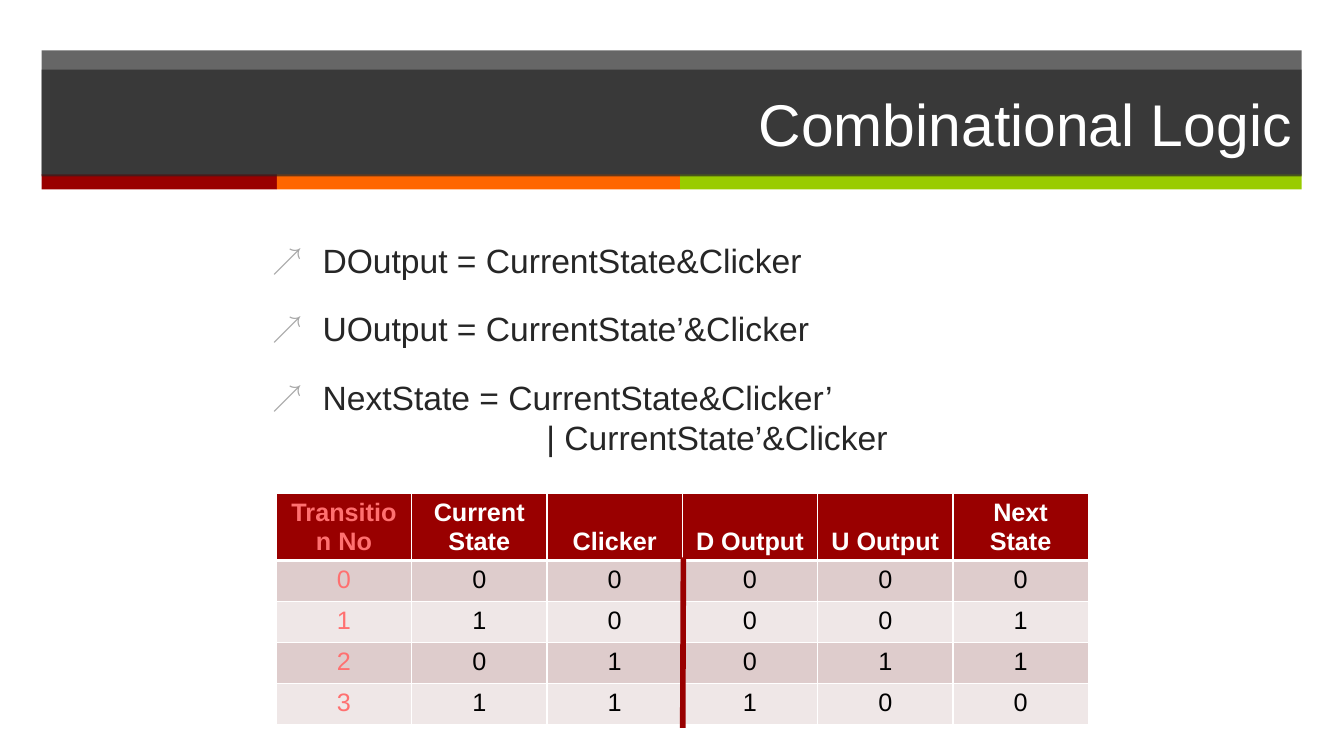
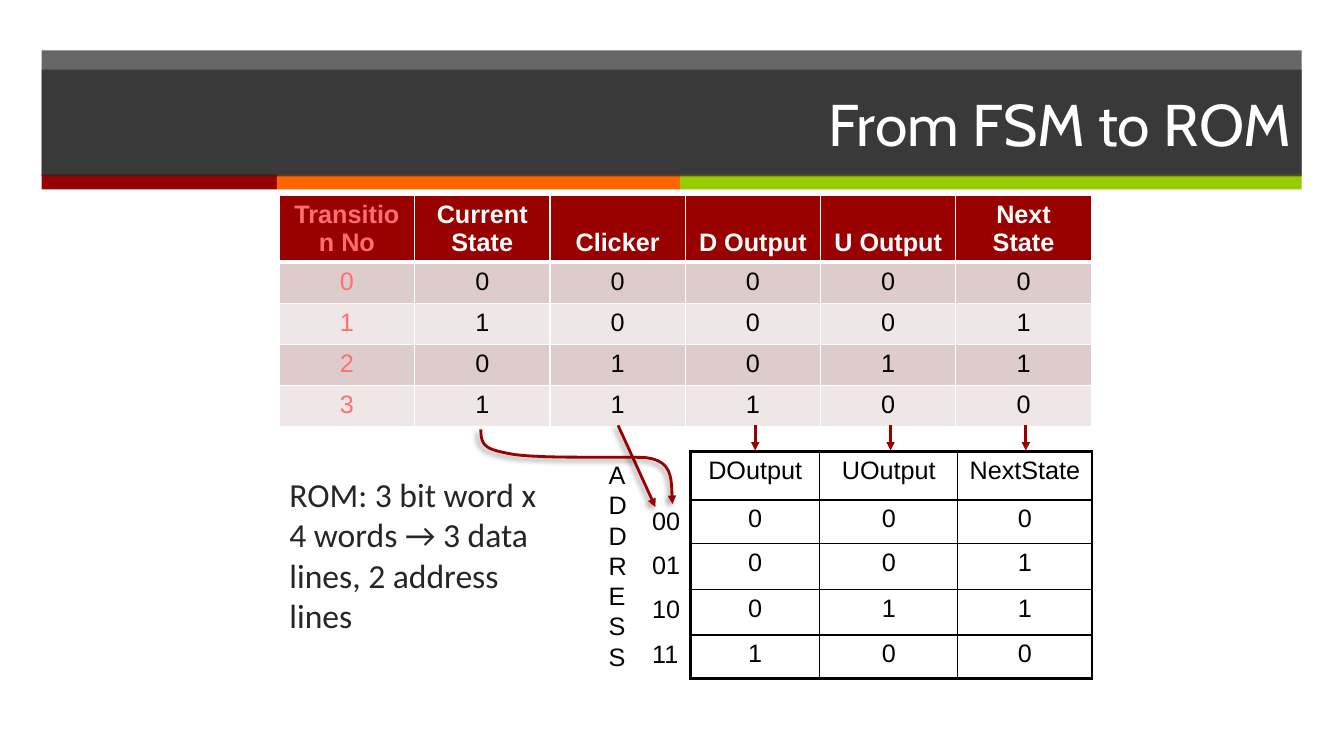
from dataclasses import dataclass
from itertools import accumulate
from typing import Any, NamedTuple

from lxml import etree
from pptx import Presentation
from pptx import util as u
from pptx.dml.color import RGBColor
from pptx.enum import shapes as sh, text as tx

RED = RGBColor(0x99, 0x00, 0x00)
ORANGE = RGBColor(0xFF, 0x66, 0x00)
LIME = RGBColor(0x99, 0xCC, 0x00)
DARK = RGBColor(0x26, 0x26, 0x26)
GREY = RGBColor(0xA6, 0xA6, 0xA6)
PINK = RGBColor(0xFF, 0x70, 0x70)
ROSE = RGBColor(0xDE, 0xCC, 0xCC)
PALE = RGBColor(0xEF, 0xE7, 0xE7)
WHITE = RGBColor(0xFF, 0xFF, 0xFF)
BLACK = RGBColor(0x00, 0x00, 0x00)

WIDE = u.Inches(13.33)
HIGH = u.Inches(7.5)
NS = "http://schemas.openxmlformats.org/drawingml/2006/main"
COL = 10.07


class Box(NamedTuple):
    left: float
    top: float
    width: float
    height: float


class Point(NamedTuple):
    x: float
    y: float


@dataclass
class Line:
    start: Point
    end: Point
    size: float = 2
    arrow: bool = True
    shade: bool = False


@dataclass
class Band:
    box: Box
    color: RGBColor
    alpha: int = 100


BANDS = [Band(Box(3.1, 6.67, 93.75, 16.53), DARK, 70)]
SPANS = [17.5, 30, 46.25]
STARTS = accumulate(SPANS, initial=3.1)
BANDS += [Band(Box(left, 23.07, span, 2), color)
          for left, span, color in zip(STARTS, SPANS, [RED, ORANGE, LIME])]

STATES = [
    ["Transition No", "Current State", "Clicker", "D Output", "U Output", "Next State"],
    ["0", "0", "0", "0", "0", "0"],
    ["1", "1", "0", "0", "0", "1"],
    ["2", "0", "1", "0", "1", "1"],
    ["3", "1", "1", "1", "0", "0"],
]
WORDS = [
    ["DOutput", "UOutput", "NextState"],
    ["0", "0", "0"],
    ["0", "0", "1"],
    ["0", "1", "1"],
    ["1", "0", "0"],
]
CURVES = [
    [Point(35.78, 56.8), Point(35.78, 59.2), Point(36.23, 59.47), Point(38.26, 60.13)],
    [Point(38.26, 60.13), Point(40.36, 60.67), Point(45.76, 60.4), Point(48.01, 60.53)],
    [Point(48.01, 60.53), Point(50.34, 60.93), Point(49.89, 64.13), Point(50.04, 66.67)],
]


def across(share: float) -> int:
    return round(WIDE * share / 100)


def down(share: float) -> int:
    return round(HIGH * share / 100)


def frame(box: Box) -> tuple[int, int, int, int]:
    return across(box.left), down(box.top), across(box.width), down(box.height)


def place(shape: Any, box: Box) -> None:
    shape.left, shape.top, shape.width, shape.height = frame(box)


def node(root: Any, tag: str, **attrs: Any) -> Any:
    return etree.SubElement(root, f"{{{NS}}}{tag}", {k: str(v) for k, v in attrs.items()})


def paint(shape: Any, color: RGBColor, alpha: int = 100) -> None:
    shape.fill.solid()
    shape.fill.fore_color.rgb = color
    if alpha < 100:
        tint = shape.element.xpath("./p:spPr/a:solidFill/a:srgbClr")[0]
        node(tint, "alpha", val=alpha * 1000)


def write(area: Any, words: str, *, font: str = "Arial", size: float = 18,
          color: RGBColor = BLACK, bold: bool = False, align: Any = None,
          lead: float = 0, gap: float = 0) -> list[Any]:
    area.text = words
    for index, para in enumerate(area.paragraphs):
        para.alignment = align
        para.space_before = u.Pt(gap if index else 0)
        if lead:
            para.line_spacing = u.Pt(lead)
        for run in para.runs:
            run.font.name = font
            run.font.size = u.Pt(size)
            run.font.bold = bold
            run.font.color.rgb = color
    return list(area.paragraphs)


def indent(para: Any, left: float, hang: float = 0, mark: str = "") -> None:
    props = para._p.get_or_add_pPr()
    props.set("marL", str(u.Inches(left)))
    props.set("indent", str(u.Inches(-hang)))
    if mark:
        node(node(props, "buClr"), "srgbClr", val=GREY)
        node(props, "buSzPct", val=90000)
        node(props, "buFont", typeface="Arial")
        node(props, "buChar", char=mark)
    else:
        node(props, "buNone")


def label(slide: Any, words: str, box: Box, lead: float = 0) -> None:
    area = slide.shapes.add_textbox(*frame(box)).text_frame
    area.word_wrap = False
    write(area, words, lead=lead)


def stroke(shape: Any, size: float, arrow: bool, shade: bool) -> None:
    shape.line.color.rgb = RED
    shape.line.width = u.Pt(size)
    props = shape.element.spPr
    if arrow:
        node(props.find(f"{{{NS}}}ln"), "tailEnd", type="triangle")
    glow = node(props, "effectLst")
    if shade:
        cast = node(glow, "outerShdw", blurRad=u.Pt(4), dist=u.Pt(3),
                    dir=135 * 60000, algn="tl", rotWithShape=0)
        node(node(cast, "srgbClr", val=BLACK), "alpha", val=40000)


def draw(slide: Any, line: Line) -> None:
    link = slide.shapes.add_connector(
        sh.MSO_CONNECTOR.STRAIGHT, across(line.start.x), down(line.start.y),
        across(line.end.x), down(line.end.y))
    stroke(link, line.size, line.arrow, line.shade)


def bend(curve: list[Point], t: float) -> tuple[int, int]:
    s = 1 - t
    parts = [s ** 3, 3 * s * s * t, 3 * s * t * t, t ** 3]
    return (across(sum(k * p.x for k, p in zip(parts, curve))),
            down(sum(k * p.y for k, p in zip(parts, curve))))


def swoop(slide: Any, curves: list[list[Point]], steps: int = 12) -> None:
    pen = slide.shapes.build_freeform(*bend(curves[0], 0))
    pen.add_line_segments([bend(curve, step / steps) for curve in curves
                           for step in range(1, steps + 1)], close=False)
    shape = pen.convert_to_shape()
    shape.fill.background()
    stroke(shape, 2, True, True)


def edge(cell: Any, color: RGBColor, **sizes: float) -> None:
    props = cell._tc.get_or_add_tcPr()
    for side in "LRTB":
        line = node(props, f"ln{side}", w=u.Pt(sizes.get(side, 1)))
        node(node(line, "solidFill"), "srgbClr", val=color)


def grid(slide: Any, left: float, top: float, cols: list[float], rows: list[float]) -> Any:
    box = Box(left, top, sum(cols), sum(rows))
    table = slide.shapes.add_table(len(rows), len(cols), *frame(box)).table
    table.first_row = table.horz_banding = False
    for col, width in zip(table.columns, cols):
        col.width = across(width)
    for row, height in zip(table.rows, rows):
        row.height = down(height)
    return table


def states(slide: Any, left: float, top: float) -> None:
    table = grid(slide, left, top, [COL] * 6, [8.67] + [5.44] * 4)
    for r, row in enumerate(STATES):
        for c, words in enumerate(row):
            cell = table.cell(r, c)
            head = r == 0
            edge(cell, WHITE, B=3 if head else 1, T=3 if r == 1 else 1)
            cell.fill.solid()
            cell.fill.fore_color.rgb = RED if head else ROSE if r % 2 else PALE
            if head:
                cell.vertical_anchor = tx.MSO_ANCHOR.BOTTOM
            color = PINK if c == 0 else WHITE if head else BLACK
            write(cell.text_frame, words, color=color, bold=head, align=tx.PP_ALIGN.CENTER)


def memory(slide: Any) -> None:
    table = grid(slide, 51.39, 59.73, [9.6, 10.28, 9.98], [6.4, 5.73, 6.13, 6, 5.73])
    for r, row in enumerate(WORDS):
        for c, words in enumerate(row):
            cell = table.cell(r, c)
            outer = {"L": c == 0, "R": c == 2, "T": r == 0, "B": r == 4}
            edge(cell, BLACK, **{side: 2.25 if rim else 1 for side, rim in outer.items()})
            cell.fill.background()
            write(cell.text_frame, words, align=tx.PP_ALIGN.CENTER)


def brand(slide: Any) -> None:
    tree = slide.slide_layout.shapes.element
    for index, band in enumerate(BANDS):
        shape = slide.shapes.add_shape(sh.MSO_SHAPE.RECTANGLE, *frame(band.box))
        shape.shadow.inherit = False
        shape.line.fill.background()
        paint(shape, band.color, band.alpha)
        shape.element.xpath(".//p:cNvPr")[0].set("id", str(20 + index))
        tree.append(shape.element)


def start(slide: Any, words: str, font: str, box: Box) -> Any:
    title = slide.shapes.title
    place(title, Box(3.1, 9.2, 93.75, 14.13))
    paint(title, DARK, 70)
    title.text_frame.vertical_anchor = tx.MSO_ANCHOR.MIDDLE
    write(title.text_frame, words, font=font, size=42, color=WHITE, align=tx.PP_ALIGN.RIGHT)
    body = slide.placeholders[1]
    place(body, box)
    area = body.text_frame
    area.auto_size = tx.MSO_AUTO_SIZE.NONE
    area.vertical_anchor = tx.MSO_ANCHOR.TOP
    return area


def logic(slide: Any) -> None:
    area = start(slide, "Combinational Logic", "Arial", Box(19.5, 31.07, 77.4, 58.27))
    rules = ["DOutput = CurrentState&Clicker", "UOutput = CurrentState’&Clicker",
             "NextState = CurrentState&Clicker’", "| CurrentState’&Clicker"]
    *heads, tail = write(area, "\n".join(rules), size=24, color=DARK, lead=28.8, gap=20)
    for para in heads:
        indent(para, 0.5, 0.5, "↗")
    indent(tail, 2.72)
    tail.space_before = u.Pt(0)
    states(slide, 20.56, 65.33)
    draw(slide, Line(Point(50.85, 73.73), Point(50.8, 96.27), 4, False))


def lookup(slide: Any) -> None:
    area = start(slide, "From FSM to ROM", "Cabin", Box(20.78, 62, 20.93, 28.8))
    note = "ROM: 3 bit word x 4 words → 3 data lines, 2 address lines"
    indent(write(area, note, font="Calibri", size=24, color=DARK)[0], 0)
    states(slide, 20.78, 25.87)
    memory(slide)
    label(slide, "\n".join("ADDRESS"), Box(44.55, 60.13, 2.85, 29.33), 21.6)
    for index in range(4):
        label(slide, f"{index:02b}", Box(47.79, 66.13 + 5.87 * index, 3.6, 5.33))
    draw(slide, Line(Point(45.99, 56.27), Point(48.76, 67.07), shade=True))
    for index in range(3):
        x = 56.19 + COL * index
        draw(slide, Line(Point(x, 56.27), Point(x, 59.6)))
    swoop(slide, CURVES)


def main() -> None:
    deck = Presentation()
    deck.slide_width, deck.slide_height = WIDE, HIGH
    layout = deck.slide_layouts[1]
    first, second = [deck.slides.add_slide(layout) for _ in range(2)]
    brand(first)
    logic(first)
    lookup(second)
    deck.save("out.pptx")


if __name__ == "__main__":
    main()
